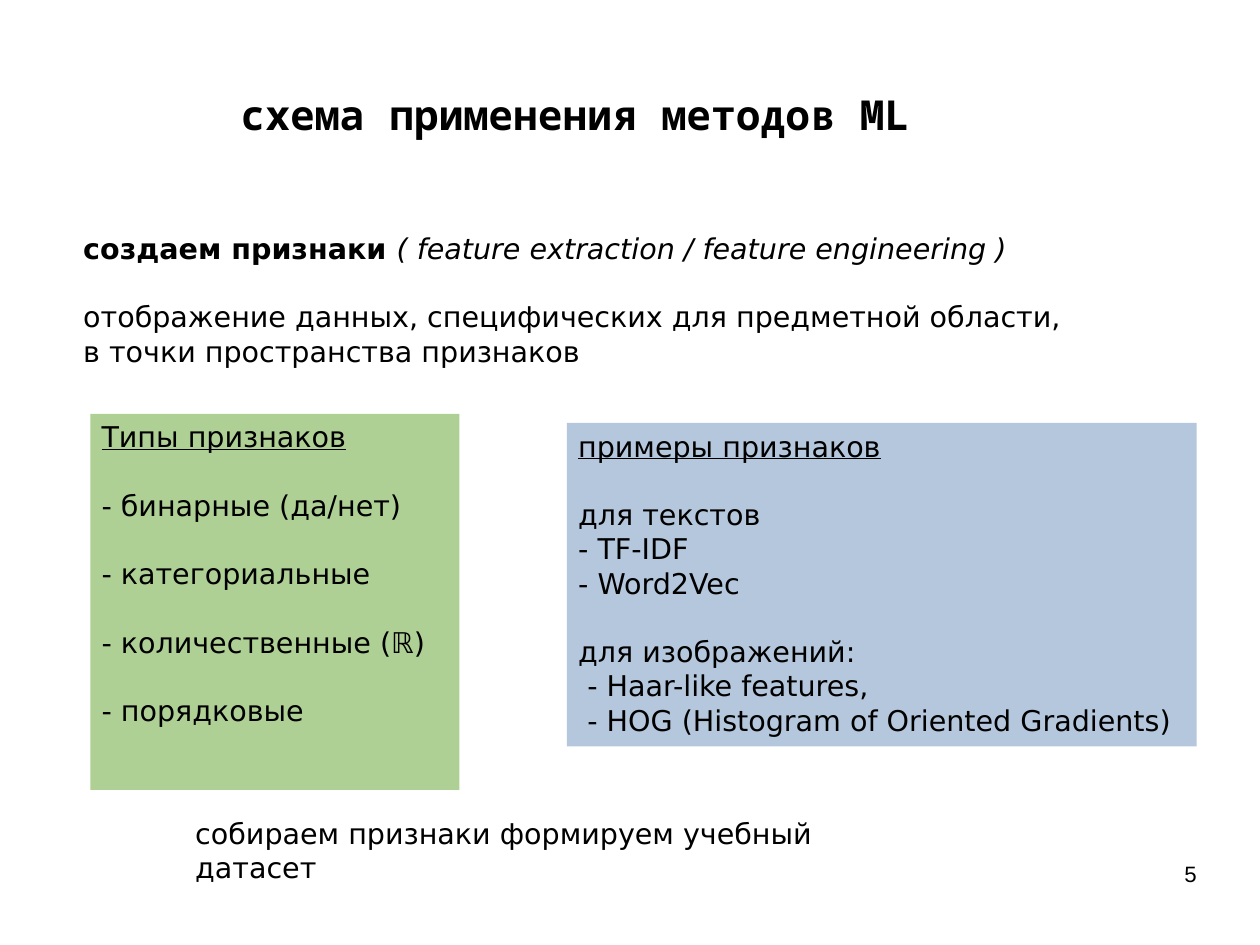
"""Build the slide on feature extraction in machine learning."""
from dataclasses import dataclass

from pptx import Presentation
from pptx.dml.color import RGBColor
from pptx.enum.shapes import MSO_SHAPE
from pptx.enum.text import MSO_ANCHOR, PP_ALIGN
from pptx.util import Inches, Pt

CENTIMETRES_PER_INCH = 2.54


@dataclass(frozen=True)
class Theme:
    """Colours, fonts and type sizes."""
    ink: RGBColor = RGBColor(0x00, 0x00, 0x00)
    green: RGBColor = RGBColor(0xAF, 0xD0, 0x95)
    blue: RGBColor = RGBColor(0xB4, 0xC7, 0xDC)
    title_font: str = "Noto Sans Mono"
    body_font: str = "DejaVu Sans"
    number_font: str = "Arial"
    title_size: int = 26
    body_size: int = 18
    number_size: int = 14
    paragraph_gap: float = 21.5
    list_indent: float = 0.08


class SlideBuilder:
    """Place styled elements on the current slide."""

    def __init__(self, slide, theme):
        """Keep the slide and its theme."""
        self.slide = slide
        self.theme = theme

    def style_font(self, font, name, size):
        """Apply typeface, size and ink colour."""
        font.name = name
        font.size = Pt(size)
        font.color.rgb = self.theme.ink

    def write_body(self, text_frame, groups):
        """Write groups of lines with a gap before each later group."""
        text_frame.word_wrap = True
        text_frame.vertical_anchor = MSO_ANCHOR.TOP
        lines = [(line, group_index > 0 and line_index == 0)
                 for group_index, group in enumerate(groups)
                 for line_index, line in enumerate(group)]
        text_frame.text = "\n".join(line for line, _ in lines)
        for paragraph, (_, starts_group) in zip(text_frame.paragraphs, lines):
            paragraph.alignment = PP_ALIGN.LEFT
            if starts_group:
                paragraph.space_before = Pt(self.theme.paragraph_gap)
            for run in paragraph.runs:
                self.style_font(run.font, self.theme.body_font, self.theme.body_size)

    def add_text(self, left, top, width, height, groups):
        """Add a body text box and return its text frame."""
        box = self.slide.shapes.add_textbox(
            Inches(left), Inches(top), Inches(width), Inches(height))
        self.write_body(box.text_frame, groups)
        return box.text_frame

    def add_panel(self, left, top, width, height, fill, groups):
        """Add a filled panel with an underlined heading."""
        panel = self.slide.shapes.add_shape(
            MSO_SHAPE.RECTANGLE,
            Inches(left), Inches(top), Inches(width), Inches(height))
        panel.shadow.inherit = False
        panel.fill.solid()
        panel.fill.fore_color.rgb = fill
        panel.line.fill.background()
        self.write_body(panel.text_frame, groups)
        panel.text_frame.paragraphs[0].runs[0].font.underline = True
        return panel.text_frame

    def add_label(self, left, top, width, height, text, font, size, alignment, anchor):
        """Add a single line without margins and return its run."""
        box = self.slide.shapes.add_textbox(
            Inches(left), Inches(top), Inches(width), Inches(height))
        text_frame = box.text_frame
        text_frame.word_wrap = True
        text_frame.vertical_anchor = anchor
        text_frame.margin_left = text_frame.margin_right = 0
        text_frame.margin_top = text_frame.margin_bottom = 0
        text_frame.text = text
        paragraph = text_frame.paragraphs[0]
        paragraph.alignment = alignment
        run = paragraph.runs[0]
        self.style_font(run.font, font, size)
        return run

    def indent(self, paragraph):
        """Indent a list line slightly."""
        paragraph_properties = paragraph._p.get_or_add_pPr()
        paragraph_properties.set("marL", str(Inches(self.theme.list_indent)))


def main():
    """Create and save the presentation."""
    presentation = Presentation()
    presentation.slide_width = Inches(28 / CENTIMETRES_PER_INCH)
    presentation.slide_height = Inches(21 / CENTIMETRES_PER_INCH)
    theme = Theme()
    slide = presentation.slides.add_slide(presentation.slide_layouts[6])
    builder = SlideBuilder(slide, theme)

    title = builder.add_label(
        0.31, 0.73, 9.45, 0.53, "схема применения методов ML",
        theme.title_font, theme.title_size, PP_ALIGN.CENTER, MSO_ANCHOR.MIDDLE)
    title.font.bold = True

    builder.add_text(1.61, 7.09, 6.73, 0.68,
                     [["собираем признаки формируем учебный датасет"]])

    examples = builder.add_panel(4.96, 3.7, 5.51, 2.83, theme.blue, [
        ["примеры признаков"],
        ["для текстов", "- TF-IDF", "- Word2Vec"],
        ["для изображений:", "- Haar-like features,",
         "- HOG (Histogram of Oriented Gradients)"],
    ])
    for paragraph in examples.paragraphs[-2:]:
        builder.indent(paragraph)

    builder.add_panel(0.79, 3.62, 3.23, 3.29, theme.green, [
        ["Типы признаков"],
        ["- бинарные (да/нет)"],
        ["- категориальные"],
        ["- количественные (ℝ)"],
        ["- порядковые"],
    ])

    introduction = builder.add_text(0.63, 1.97, 9.76, 1.42, [
        ["создаем признаки "],
        ["отображение данных, специфических для предметной области,",
         "в точки пространства признаков"],
    ])
    heading = introduction.paragraphs[0]
    heading.runs[0].font.bold = True
    english_term = heading.add_run()
    english_term.text = "( feature extraction / feature engineering )"
    builder.style_font(english_term.font, theme.body_font, theme.body_size)
    english_term.font.italic = True

    builder.add_label(7.9, 7.53, 2.57, 0.57, "5", theme.number_font,
                      theme.number_size, PP_ALIGN.RIGHT, MSO_ANCHOR.TOP)
    presentation.save("out.pptx")


if __name__ == "__main__":
    main()
